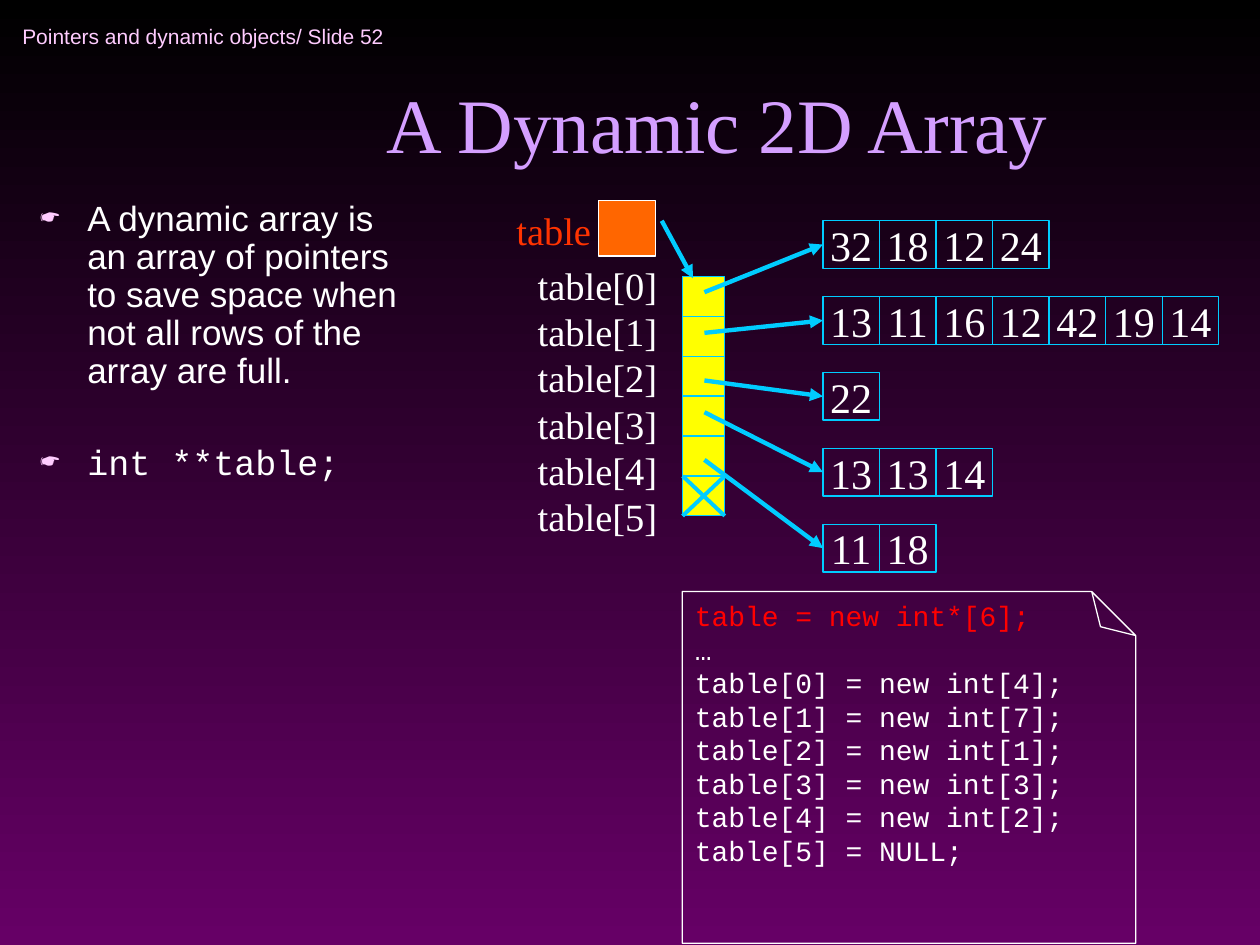
"""Build the slide on a dynamic two-dimensional array made of row pointers."""
import lxml.etree
import pptx
import pptx.dml.color
import pptx.enum.dml
import pptx.enum.shapes
import pptx.enum.text
import pptx.oxml.ns
import pptx.util

Cm = pptx.util.Cm
Pt = pptx.util.Pt
ANCHOR = pptx.enum.text.MSO_ANCHOR
ALIGN = pptx.enum.text.PP_ALIGN
SHAPE = pptx.enum.shapes.MSO_SHAPE
qn = pptx.oxml.ns.qn


def color(value):
    return pptx.dml.color.RGBColor.from_string(value)


def write(shape, lines, font_format, font_color, frame_format, paragraph_format):
    frame = shape.text_frame
    for name, value in frame_format.items():
        setattr(frame, name, value)
    for number, line in enumerate(lines):
        paragraph = frame.add_paragraph() if number else frame.paragraphs[0]
        for name, value in paragraph_format.items():
            setattr(paragraph, name, value)
        run = paragraph.add_run()
        run.text = line
        for name, value in font_format.items():
            setattr(run.font, name, value)
        run.font.color.rgb = color(font_color)
    return frame.paragraphs


presentation = pptx.Presentation()
presentation.slide_width, presentation.slide_height = Cm(25.4), Cm(19.05)
slide = presentation.slides.add_slide(presentation.slide_layouts[6])
shapes = slide.shapes

background = slide.background.fill
background.gradient()
background.gradient_angle = 270
for stop, position, value in zip(background.gradient_stops, (0, 1), ("000000", "660066")):
    stop.position = position
    stop.color.rgb = color(value)

middle = {"vertical_anchor": ANCHOR.MIDDLE, "word_wrap": False}
bottom = {"vertical_anchor": ANCHOR.BOTTOM, "word_wrap": True}
wrapped = {"vertical_anchor": ANCHOR.TOP, "word_wrap": True}
unwrapped = {"vertical_anchor": ANCHOR.TOP, "word_wrap": False}
left = {"alignment": ALIGN.LEFT}
center = {"alignment": ALIGN.CENTER}
bulleted = {"alignment": ALIGN.LEFT, "line_spacing": 0.9, "space_before": Pt(5)}
header_font = {"name": "Arial", "size": Pt(12)}
title_font = {"name": "Times New Roman", "size": Pt(44)}
body_font = {"name": "Arial", "size": Pt(20)}
label_font = {"name": "Times New Roman", "size": Pt(22)}
value_font = {"name": "Times New Roman", "size": Pt(24)}
code_font = {"name": "Courier New", "size": Pt(16)}

row_values = [
    ["32", "18", "12", "24"],
    ["13", "11", "16", "12", "42", "19", "14"],
    ["22"],
    ["13", "13", "14"],
    ["11", "18"],
]
body_lines = [
    "A dynamic array is an array of pointers to save space when not all rows of the array are full.",
    "int **table;",
]
code_lines = ["table = new int*[6];", "…"]
code_lines += [f"table[{index}] = new int[{len(values)}];" for index, values in enumerate(row_values)]
code_lines += ["table[5] = NULL;"]
labels = [f"table[{index}]" for index in range(6)]

column_left, column_top, column_width, column_height = 13.76, 5.57, 0.85, 4.83
column_right, column_bottom = column_left + column_width, column_top + column_height
slot_height = column_height / 6
cell_left, cell_top, cell_width, cell_height, row_step = 16.59, 4.45, 1.14, 0.96, 1.53

boxes = [
    (SHAPE.RECTANGLE, column_left, column_top, column_width, column_height, "FFFF00", "00CCFF", ""),
    (SHAPE.RECTANGLE, 12.06, 4.04, 1.15, 1.12, "FF6600", "FFFFFF", ""),
    (SHAPE.FOLDED_CORNER, 14.78, 10.9, 7.09, 9.14, None, "FFFFFF", ""),
]
for row, values in enumerate(row_values):
    for position, value in enumerate(values):
        boxes.append((SHAPE.RECTANGLE, cell_left + position * cell_width, cell_top + row * row_step,
                      cell_width, cell_height, None, "00CCFF", value))

row_starts = []
for kind, x, y, width, height, fill, line, value in boxes:
    shape = shapes.add_shape(kind, Cm(x), Cm(y), Cm(width), Cm(height))
    shape.shadow.inherit = False
    shape.line.color.rgb = color(line)
    shape.line.width = Pt(0.75)
    if fill:
        shape.fill.solid()
        shape.fill.fore_color.rgb = color(fill)
    else:
        shape.fill.background()
    if kind == SHAPE.FOLDED_CORNER:
        shape.rotation = 270
        for adjustments in shape._element.spPr.iter(qn("a:avLst")):
            lxml.etree.SubElement(adjustments, qn("a:gd"), name="adj", fmla="val 12500")
    if value:
        write(shape, [value], value_font, "FFFFFF", middle, center)
        if x == cell_left:
            row_starts.append(shape)

lines = []
for slot in range(1, 6):
    y = column_top + slot * slot_height
    lines.append((column_left, y, column_right, y, 0.75, False, None))
cross_top = column_bottom - slot_height
lines.append((column_right, cross_top, column_left, column_bottom, 2.25, False, None))
lines.append((column_left, cross_top, column_right, column_bottom, 2.25, False, None))
for y, target in zip((5.89, 6.71, 7.67, 8.31, 9.27), row_starts):
    lines.append((14.2, y, cell_left, y, 2.5, True, target))
lines.append((13.34, 4.45, 13.97, 5.61, 2.5, True, None))

for start_x, start_y, end_x, end_y, width, arrow, target in lines:
    connector = shapes.add_connector(pptx.enum.shapes.MSO_CONNECTOR.STRAIGHT,
                                     Cm(start_x), Cm(start_y), Cm(end_x), Cm(end_y))
    connector.line.color.rgb = color("00CCFF")
    connector.line.width = Pt(width)
    if target is not None:
        connector.end_connect(target, 1)
    if arrow:
        lxml.etree.SubElement(connector.line._get_or_add_ln(), qn("a:tailEnd"), type="triangle")
    lxml.etree.SubElement(connector._element.spPr, qn("a:effectLst"))

texts = [
    (0.2, 0.2, 7.8, 1.07, ["Pointers and dynamic objects/ Slide 52"], header_font, "FFCCFF", middle, left),
    (3.53, 1.63, 21.87, 1.9, ["A Dynamic 2D Array"], title_font, "D49FFF", bottom, center),
    (10.59, 5.16, 2.92, 5.84, labels, label_font, "FFFFFF", unwrapped, left),
    (10.16, 4.04, 2.01, 1.19, ["table"], label_font, "FF3300", unwrapped, left),
    (13.76, 11.94, 8.03, 5.69, code_lines, code_font, "FFFFFF", wrapped, left),
    (0.56, 3.94, 7.82, 14.27, body_lines, body_font, "FFFFFF", wrapped, bulleted),
]
for x, y, width, height, *content in texts:
    box = shapes.add_textbox(Cm(x), Cm(y), Cm(width), Cm(height))
    paragraphs = write(box, *content)
    if content[0] is code_lines:
        paragraphs[0].runs[0].font.color.rgb = color("FF0000")
    if content[0] is body_lines:
        paragraphs[1].runs[0].font.name = "Courier New"
        paragraphs[1].space_before = Pt(31.5)
        for paragraph in paragraphs:
            properties = paragraph._p.get_or_add_pPr()
            properties.set("marL", str(Cm(0.95)))
            properties.set("indent", str(Cm(-0.95)))
            bullet_color = lxml.etree.SubElement(properties, qn("a:buClr"))
            lxml.etree.SubElement(bullet_color, qn("a:srgbClr"), val="FFCCFF")
            lxml.etree.SubElement(properties, qn("a:buSzPct"), val="75000")
            lxml.etree.SubElement(properties, qn("a:buChar"), char="☛")

presentation.save("out.pptx")
